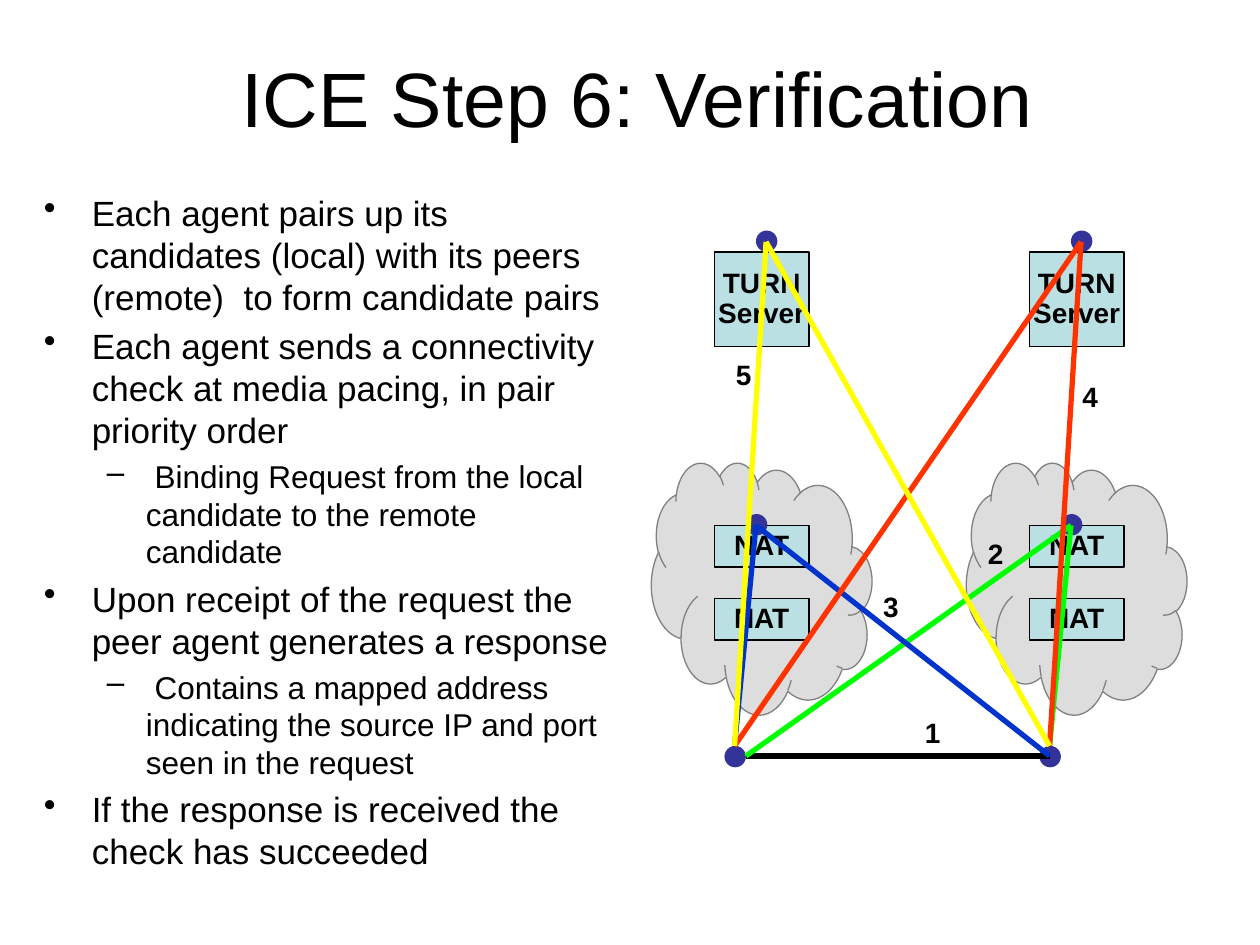
"""Build the ICE verification slide with its candidate pair diagram."""
from dataclasses import dataclass

from lxml import etree
from pptx import Presentation
from pptx import util as u
from pptx.dml.color import RGBColor
from pptx.enum import shapes, text
from pptx.oxml import ns

BLACK = RGBColor(0x00, 0x00, 0x00)
GREY = RGBColor(0x80, 0x80, 0x80)
CLOUD = RGBColor(0xDD, 0xDD, 0xDD)
TEAL = RGBColor(0xBB, 0xE0, 0xE3)
NAVY = RGBColor(0x33, 0x33, 0x99)
GREEN = RGBColor(0x00, 0xFF, 0x00)
BLUE = RGBColor(0x00, 0x33, 0xCC)
RED = RGBColor(0xFF, 0x33, 0x00)
YELLOW = RGBColor(0xFF, 0xFF, 0x00)

FONT = "Arial"
DOT = 0.17
LEFT, RIGHT = 5.17, 7.67


@dataclass(frozen=True)
class Point:
    x: float
    y: float


@dataclass(frozen=True)
class Box:
    words: str
    top: float
    high: float


@dataclass(frozen=True)
class Link:
    start: Point
    end: Point
    color: RGBColor


@dataclass(frozen=True)
class Label:
    words: str
    x: float
    y: float


@dataclass(frozen=True)
class Item:
    words: str
    level: int = 0


@dataclass(frozen=True)
class Style:
    mark: str
    size: int
    margin: float
    hang: float


STYLES = (Style("•", 20, 0.38, 0.38), Style("–", 18, 0.81, 0.31))

ITEMS = (
    Item("Each agent pairs up its candidates (local) with its peers (remote)  to form candidate pairs"),
    Item("Each agent sends a connectivity check at media pacing, in pair priority order"),
    Item(" Binding Request from the local candidate to the remote candidate", 1),
    Item("Upon receipt of the request the peer agent generates a response"),
    Item(" Contains a mapped address indicating the source IP and port seen in the request", 1),
    Item("If the response is received the check has succeeded"),
)

BOXES = (Box("TURN\nServer", 2, 0.75), Box("NAT", 4.17, 0.33), Box("NAT", 4.75, 0.33))
DOTS = (Point(0.58, 5.92), Point(0.75, 4.08), Point(0.83, 1.83))

HOST_A, HOST_B = Point(5.83, 5.92), Point(8.33, 5.92)
SIDE_A, BASE_B = Point(5.92, 6), Point(8.33, 6)
NAT_A, NAT_B = Point(6, 4.17), Point(8.5, 4.17)
TURN_A, TURN_B = Point(6.08, 1.92), Point(8.58, 1.92)

LINKS = (
    Link(SIDE_A, BASE_B, BLACK),
    Link(SIDE_A, NAT_B, GREEN),
    Link(NAT_A, BASE_B, BLUE),
    Link(NAT_A, HOST_A, BLUE),
    Link(NAT_B, HOST_B, GREEN),
    Link(HOST_A, TURN_B, RED),
    Link(HOST_B, TURN_B, RED),
    Link(TURN_A, HOST_B, YELLOW),
    Link(TURN_A, HOST_A, YELLOW),
)

LABELS = (
    Label("1", 7.25, 5.67),
    Label("2", 7.75, 4.25),
    Label("3", 6.92, 4.67),
    Label("4", 8.5, 3),
    Label("5", 5.75, 2.83),
)


def place(x: float, y: float, wide: float, high: float) -> tuple:
    """Turn a frame in inches into lengths."""
    return tuple(u.Inches(side) for side in (x, y, wide, high))


def format_runs(para, size: int, bold: bool = False) -> None:
    """Give the runs of a paragraph their font."""
    for run in para.runs:
        run.font.name = FONT
        run.font.size = u.Pt(size)
        run.font.bold = bold
        run.font.color.rgb = BLACK


def write_tag(frame, words: str, align) -> None:
    """Write bold, tightly set words that do not wrap."""
    frame.text = words
    frame.word_wrap = False
    frame.margin_left = frame.margin_right = u.Inches(0.09)
    frame.margin_top = frame.margin_bottom = u.Inches(0.04)
    for para in frame.paragraphs:
        para.alignment = align
        para.line_spacing = 0.9
        format_runs(para, 16, True)


def add_form(group, kind, area: tuple, fill: RGBColor, edge: RGBColor | None = None):
    """Add a filled shape with a thin edge, or with none."""
    form = group.shapes.add_shape(kind, *area)
    form.shadow.inherit = False
    form.fill.solid()
    form.fill.fore_color.rgb = fill
    if edge is None:
        form.line.fill.background()
    else:
        form.line.color.rgb = edge
        form.line.width = u.Pt(0.75)
    return form


def add_agent(slide, left: float) -> None:
    """Draw one agent's cloud, servers and candidate dots."""
    kinds = shapes.MSO_SHAPE
    group = slide.shapes.add_group_shape()
    cloud = add_form(group, kinds.CLOUD, place(left, 3.67, 1.75, 2), CLOUD, GREY)
    cloud._element.spPr.xfrm.set("flipH", "1")
    for box in BOXES:
        area = place(left + 0.5, box.top, 0.75, box.high)
        form = add_form(group, kinds.RECTANGLE, area, TEAL, BLACK)
        form.text_frame.vertical_anchor = text.MSO_ANCHOR.MIDDLE
        write_tag(form.text_frame, box.words, text.PP_ALIGN.CENTER)
    for dot in DOTS:
        add_form(group, kinds.OVAL, place(left + dot.x, dot.y, DOT, DOT), NAVY)


def add_link(slide, link: Link) -> None:
    """Draw one line between two candidates."""
    ends = place(link.start.x, link.start.y, link.end.x, link.end.y)
    line = slide.shapes.add_connector(shapes.MSO_CONNECTOR.STRAIGHT, *ends)
    line.line.color.rgb = link.color
    line.line.width = u.Pt(3)
    etree.SubElement(line._element.spPr, ns.qn("a:effectLst"))


def add_label(slide, label: Label) -> None:
    """Add the number of a candidate pair."""
    frame = slide.shapes.add_textbox(*place(label.x, label.y, 0.3, 0.33)).text_frame
    write_tag(frame, label.words, text.PP_ALIGN.LEFT)
    frame.auto_size = text.MSO_AUTO_SIZE.SHAPE_TO_FIT_TEXT


def add_title(slide) -> None:
    """Add the centred title."""
    frame = slide.shapes.add_textbox(*place(0.56, 0.48, 9, 0.58)).text_frame
    frame.word_wrap = True
    frame.vertical_anchor = text.MSO_ANCHOR.MIDDLE
    frame.text = "ICE Step 6: Verification"
    frame.paragraphs[0].alignment = text.PP_ALIGN.CENTER
    format_runs(frame.paragraphs[0], 44)


def add_body(slide) -> None:
    """Add the bulleted list."""
    frame = slide.shapes.add_textbox(*place(0.25, 1.47, 4.75, 5.5)).text_frame
    frame.word_wrap = True
    frame.text = "\n".join(item.words for item in ITEMS)
    for rank, (para, item) in enumerate(zip(frame.paragraphs, ITEMS)):
        style = STYLES[item.level]
        para.level = item.level
        props = para._p.get_or_add_pPr()
        props.set("marL", str(u.Inches(style.margin)))
        props.set("indent", str(-u.Inches(style.hang)))
        etree.SubElement(props, ns.qn("a:buChar"), char=style.mark)
        para.space_before = u.Pt(0.2 * style.size if rank else 0)
        format_runs(para, style.size)


def main() -> None:
    """Build and save the slide."""
    deck = Presentation()
    deck.slide_width, deck.slide_height = u.Inches(10), u.Inches(7.5)
    slide = deck.slides.add_slide(deck.slide_layouts[6])
    add_title(slide)
    add_body(slide)
    for left in (LEFT, RIGHT):
        add_agent(slide, left)
    for link in LINKS:
        add_link(slide, link)
    for label in LABELS:
        add_label(slide, label)
    deck.save("out.pptx")


if __name__ == "__main__":
    main()
